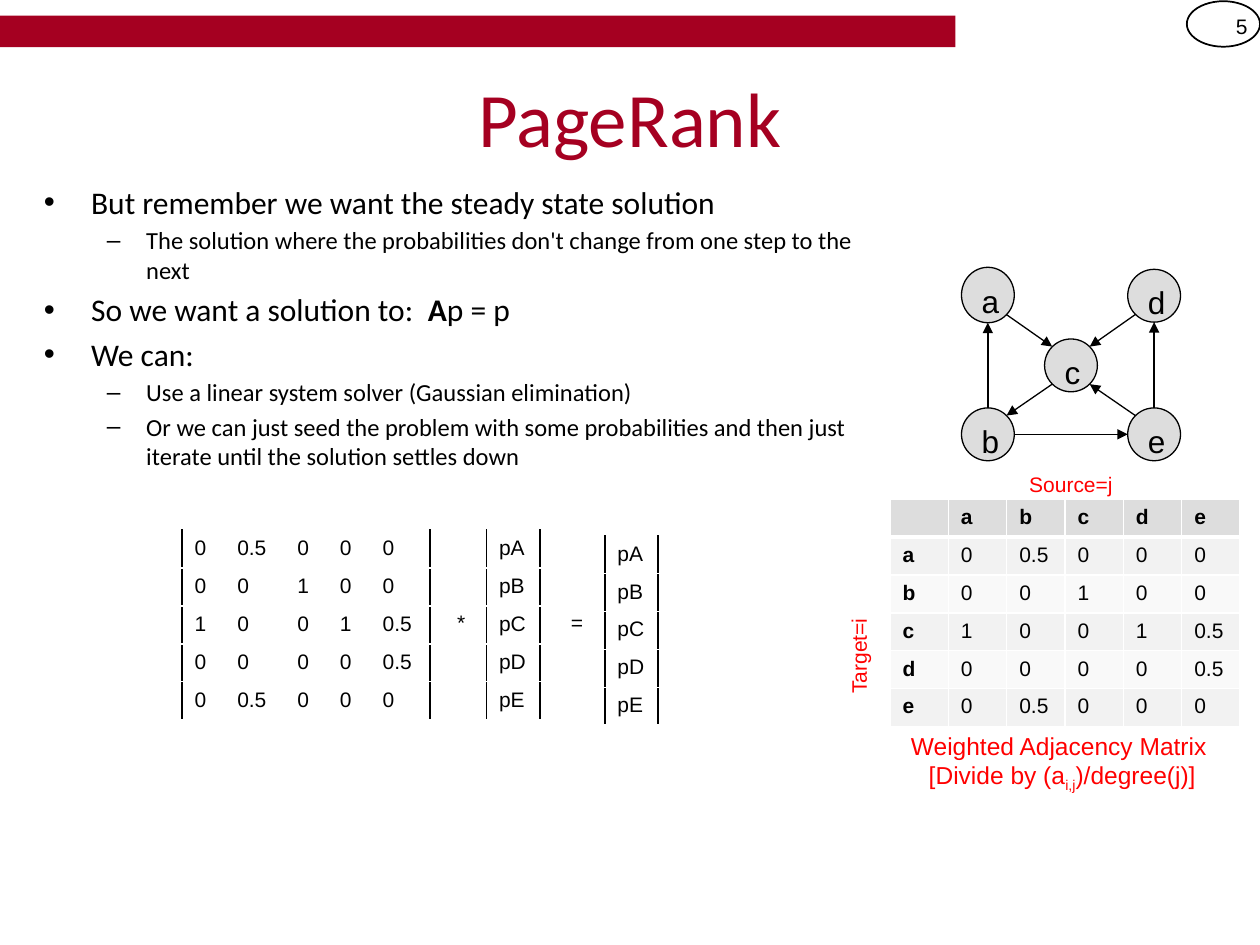
"""Build the PageRank steady state slide."""
from dataclasses import dataclass
from typing import Any, Optional

from lxml.etree import SubElement
from pptx import Presentation
from pptx.dml.color import RGBColor
from pptx.enum.shapes import MSO_CONNECTOR as Conn, MSO_SHAPE as Kind
from pptx.enum.text import MSO_ANCHOR as Anchor, PP_ALIGN as Align
from pptx.oxml.ns import qn
from pptx.util import Pt

BLACK, WHITE, GREY, WINE, RED = "000000", "FFFFFF", "DDDDDD", "A50021", "FF0000"
BANDS = "F2F2F2", "F9F9F9"
SMALL = {"name": "Arial", "size": Pt(12), "color": BLACK}
NOTE = {**SMALL, "color": RED}
LARGE = {**SMALL, "size": Pt(18)}
HEAD = {"name": "Calibri", "size": Pt(44), "color": WINE}


@dataclass(frozen=True)
class Node:
    name: str
    x: float
    y: float
    high: float = 30.2
    wide: float = 30.2

    def edge(self, to: "Node") -> tuple[float, float]:
        """Return the point on the rim that faces another node."""
        dx = (to.x > self.x) - (to.x < self.x)
        dy = (to.y > self.y) - (to.y < self.y)
        part = 0.71 if dx and dy else 1
        return self.x + dx * part * self.wide / 2, self.y + dy * part * self.high / 2


@dataclass(frozen=True)
class Label:
    text: str
    box: tuple[float, float, float, float]
    fmt: dict[str, Any]
    align: Align = Align.CENTER
    anchor: Anchor = Anchor.TOP
    turn: float = 0


@dataclass(frozen=True)
class Level:
    mark: str
    size: float
    left: float
    hang: float


@dataclass(frozen=True)
class Grid:
    x: float
    y: float
    cols: list[float]
    rows: list[list[str]]
    fill: Optional[str] = None
    heads: bool = False


TOP, SUB = Level("•", 18, 27, 27), Level("–", 14, 58.5, 22.5)
BODY = [
    (TOP, ["But remember we want the steady state solution"]),
    (SUB, ["The solution where the probabilities don't change from one step to the next"]),
    (TOP, ["So we want a solution to:  ", "A", "p = p"]),
    (TOP, ["We can:"]),
    (SUB, ["Use a linear system solver (Gaussian elimination)"]),
    (SUB, ["Or we can just seed the problem with some probabilities "
           "and then just iterate until the solution settles down"]),
]
NODES = {node.name: node for node in (
    Node("a", 564.5, 168.6, 31.7), Node("b", 564.5, 248.2), Node("d", 659.5, 169),
    Node("c", 612, 208.8), Node("e", 659.5, 248.2))}
LINKS = ["ac", "ba", "ed", "ec", "dc", "be", "cb"]
RANKS = [line.split() for line in (
    "0 0.5 0 0 0", "0 0 1 0 0", "1 0 0 1 0.5", "0 0 0 0 0.5", "0 0.5 0 0 0")]
NAMES = list("abcde")
PROBS = [["p" + name.upper()] for name in NAMES]
GRIDS = [
    Grid(508.6, 285.3, [33.35] * 6,
         [["", *NAMES], *([name, *row] for name, row in zip(NAMES, RANKS))], heads=True),
    Grid(104, 303, [24.4, 34.3, 24.4, 24.4, 34.3], RANKS),
    Grid(278, 303, [30.5], PROBS),
    Grid(345.6, 306.2, [30.5], PROBS, WHITE),
]
LABELS = [
    Label("5", (678.2, 0.7, 41.8, 28.8), SMALL, Align.RIGHT, Anchor.MIDDLE),
    Label("PageRank", (36, 21.6, 648, 90), HEAD, anchor=Anchor.MIDDLE),
    Label("Target=i", (437.8, 362.9, 108, 23.8), NOTE, turn=270),
    Label("Source=j", (522, 265.7, 180, 18), NOTE),
    Label("*", (247.7, 344.9, 31.7, 18), SMALL),
    Label("=", (313.9, 344.9, 31.7, 18), SMALL),
]


def hue(code: str) -> RGBColor:
    """Turn a hex string into a colour."""
    return RGBColor.from_string(code)


def write(para, text: str, fmt: dict[str, Any]):
    """Add a run with the given format values."""
    run = para.add_run()
    run.text = text
    for key, val in fmt.items():
        if key == "color":
            run.font.color.rgb = hue(val)
        else:
            setattr(run.font, key, val)
    return run


def frame(slide, box: tuple[float, ...], turn: float = 0):
    """Add a wrapping text box and return its text frame."""
    shape = slide.shapes.add_textbox(*map(Pt, box))
    shape.rotation = turn
    shape.text_frame.word_wrap = True
    return shape.text_frame


def label(slide, item: Label) -> None:
    """Draw a one-line label."""
    text = frame(slide, item.box, item.turn)
    text.vertical_anchor = item.anchor
    para = text.paragraphs[0]
    para.alignment = item.align
    write(para, item.text, item.fmt)


def shape(slide, kind: Kind, box: tuple[float, ...], fill: Optional[str], line: float):
    """Draw a preset shape, with no outline when the line is zero."""
    form = slide.shapes.add_shape(kind, *map(Pt, box))
    form.shadow.inherit = False
    if fill:
        form.fill.solid()
        form.fill.fore_color.rgb = hue(fill)
    else:
        form.fill.background()
    if line:
        form.line.color.rgb = hue(BLACK)
        form.line.width = Pt(line)
    else:
        form.line.fill.background()
    return form


def body(slide) -> None:
    """Write the bulleted text."""
    text = frame(slide, (18, 100.8, 484.6, 185.8))
    for pos, (level, parts) in enumerate(BODY):
        para = text.add_paragraph() if pos else text.paragraphs[0]
        props = para._p.get_or_add_pPr()
        props.set("marL", str(Pt(level.left)))
        props.set("indent", str(-Pt(level.hang)))
        SubElement(props, qn("a:buFont")).set("typeface", "Arial")
        SubElement(props, qn("a:buChar")).set("char", level.mark)
        para.space_before = Pt(level.size * 0.2 if pos else 0)
        for part in parts:
            write(para, part, {"name": "Calibri", "size": Pt(level.size),
                               "color": BLACK, "bold": part == "A"})


def graph(slide) -> None:
    """Draw the nodes and the arrows between them."""
    for node in NODES.values():
        box = node.x - node.wide / 2, node.y - node.high / 2, node.wide, node.high
        text = shape(slide, Kind.OVAL, box, GREY, 0.75).text_frame
        text.word_wrap = False
        text.vertical_anchor = Anchor.TOP
        text.paragraphs[0].alignment = Align.LEFT
        write(text.paragraphs[0], node.name, LARGE)
    for start, end in LINKS:
        src, dst = NODES[start], NODES[end]
        ends = map(Pt, (*src.edge(dst), *dst.edge(src)))
        line = slide.shapes.add_connector(Conn.STRAIGHT, *ends)
        line.line.color.rgb = hue(BLACK)
        line.line.width = Pt(0.75)
        props = line._element.spPr
        SubElement(props.find(qn("a:ln")), qn("a:tailEnd")).set("type", "triangle")
        SubElement(props, qn("a:effectLst"))


def border(cell, side: str, code: str, width: float) -> None:
    """Add a border to one side of a cell."""
    line = SubElement(cell._tc.get_or_add_tcPr(), qn("a:ln" + side), w=str(Pt(width)))
    SubElement(SubElement(line, qn("a:solidFill")), qn("a:srgbClr")).set("val", code)


def grid(slide, item: Grid) -> None:
    """Draw a table, either a matrix or one with heads."""
    count, last = len(item.rows), len(item.cols) - 1
    size = Pt(sum(item.cols)), Pt(20.7 * count)
    table = slide.shapes.add_table(count, last + 1, Pt(item.x), Pt(item.y), *size).table
    table.first_row = table.horz_banding = False
    for col, width in zip(table.columns, item.cols):
        col.width = Pt(width)
    for r, row in enumerate(item.rows):
        table.rows[r].height = Pt(20.7)
        for c, text in enumerate(row):
            cell, fill = table.cell(r, c), item.fill
            if item.heads:
                fill = BANDS[(r - 1) % 2] if r else GREY
                for side in "LRTB":
                    heavy = (r, side) in ((0, "B"), (1, "T"))
                    border(cell, side, WHITE, 3 if heavy else 1)
            else:
                for side, edge in (("L", 0), ("R", last)):
                    if c == edge:
                        border(cell, side, BLACK, 1)
            if fill:
                cell.fill.solid()
                cell.fill.fore_color.rgb = hue(fill)
            else:
                cell.fill.background()
            para = cell.text_frame.paragraphs[0]
            if text:
                write(para, text, {**SMALL, "bold": item.heads and not (r and c)})
            else:
                para._p.get_or_add_endParaRPr().set("sz", "1200")


def main() -> None:
    """Build and save the slide."""
    deck = Presentation()
    deck.slide_width, deck.slide_height = Pt(720), Pt(540)
    slide = deck.slides.add_slide(deck.slide_layouts[6])
    shape(slide, Kind.RECTANGLE, (0, 8.9, 546, 18), WINE, 0)
    shape(slide, Kind.OVAL, (678.2, 0.7, 41.8, 26), None, 1)
    body(slide)
    graph(slide)
    for item in GRIDS:
        grid(slide, item)
    for item in LABELS:
        label(slide, item)
    para = frame(slide, (506.2, 414, 201.6, 30.2)).paragraphs[0]
    para.alignment = Align.CENTER
    fmt = {**NOTE, "size": Pt(14)}
    write(para, "Weighted Adjacency Matrix ", fmt)
    para.add_line_break()
    write(para, "[Divide by (a", fmt)
    write(para, "i,j", fmt)._r.get_or_add_rPr().set("baseline", "-25000")
    write(para, ")/degree(j)]", fmt)
    deck.save("out.pptx")


if __name__ == "__main__":
    main()
